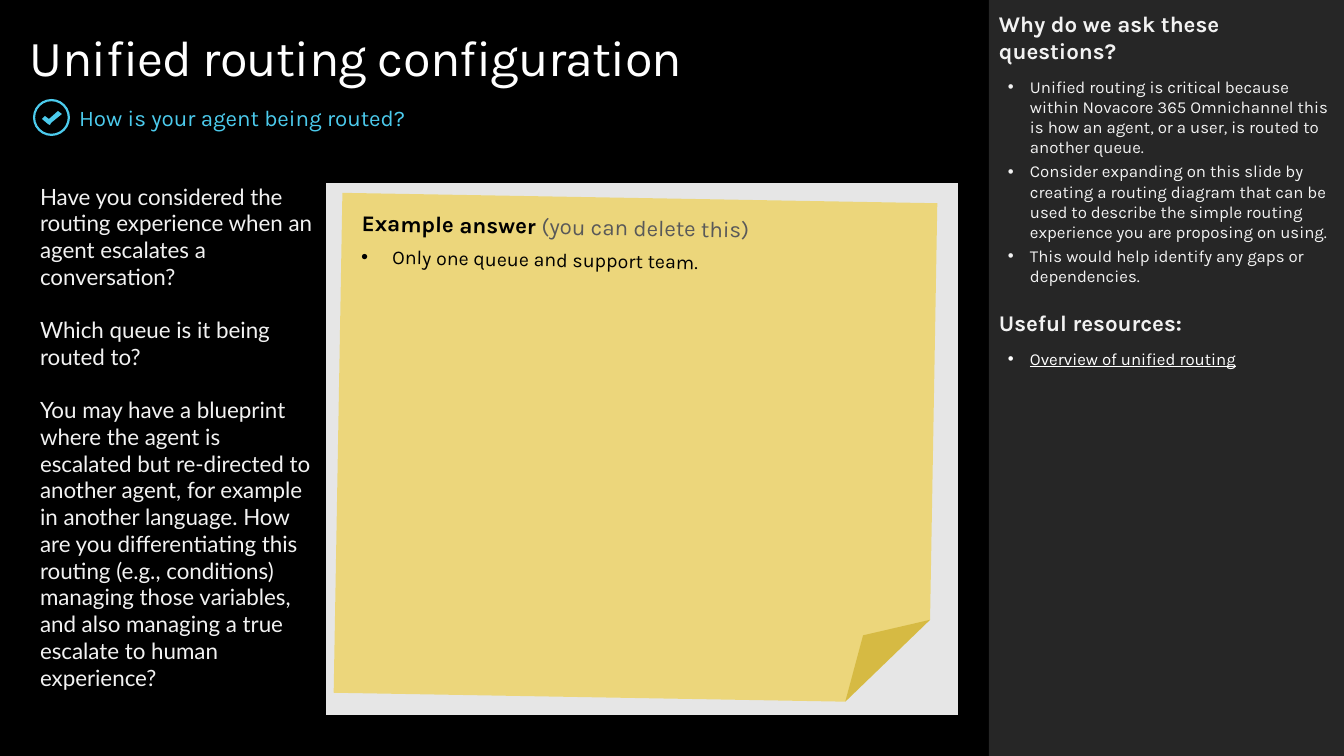
import pptx
import pptx.dml.color
import pptx.enum.shapes
import pptx.enum.text
import pptx.oxml
import pptx.oxml.ns
import pptx.util

SHAPES = pptx.enum.shapes.MSO_SHAPE
ANCHORS = pptx.enum.text.MSO_ANCHOR
ALIGNMENTS = pptx.enum.text.PP_ALIGN
EMU_PER_PX = 914400 / 100.8

COLORS = {
    "background": "000000",
    "sidebar": "262626",
    "accent": "4CCBED",
    "white": "FFFFFF",
    "light": "F2F2F2",
    "panel": "E6E6E6",
    "note": "F2C811",
    "ink": "000000",
    "muted": "595959",
}

QUESTIONS = [
    "Have you considered the routing experience when an agent escalates a conversation?",
    "Which queue is it being routed to?",
    "You may have a blueprint where the agent is escalated but re-directed to another agent, "
    "for example in another language. How are you differentiating this routing (e.g., conditions) "
    "managing those variables, and also managing a true escalate to human experience?",
]

REASONS = [
    "Unified routing is critical because within Novacore 365 Omnichannel this is how an agent, "
    "or a user, is routed to another queue.",
    "Consider expanding on this slide by creating a routing diagram that can be used to describe "
    "the simple routing experience you are proposing on using.",
    "This would help identify any gaps or dependencies.",
]

CHECK_MARK = [(58, 111), (49, 119), (45, 116), (42, 119), (48, 124), (50, 125), (51, 123), (62, 114)]


def px(length):
    return pptx.util.Emu(round(length * EMU_PER_PX))


def rgb(name):
    return pptx.dml.color.RGBColor.from_string(COLORS[name])


def drawing_element(tag, content="", attributes=""):
    namespace = pptx.oxml.ns.nsdecls("a")
    return pptx.oxml.parse_xml(f"<a:{tag} {namespace} {attributes}>{content}</a:{tag}>")


def paint(shape, color):
    shape.shadow.inherit = False
    shape.fill.solid()
    shape.fill.fore_color.rgb = rgb(color)
    shape.line.fill.background()


def add_shape(slide, preset, left, top, width, height, color):
    shape = slide.shapes.add_shape(preset, px(left), px(top), px(width), px(height))
    paint(shape, color)
    return shape


def set_up_frame(frame, horizontal=0, vertical=0, anchor=ANCHORS.TOP):
    frame.word_wrap = True
    frame.vertical_anchor = anchor
    frame.margin_left = frame.margin_right = px(horizontal)
    frame.margin_top = frame.margin_bottom = px(vertical)


def add_text_box(slide, left, top, width, height, margin=0, anchor=ANCHORS.TOP):
    frame = slide.shapes.add_textbox(px(left), px(top), px(width), px(height)).text_frame
    set_up_frame(frame, margin, margin, anchor)
    return frame


def format_run(run, size, color, font="Karla", bold=False, underline=False):
    run.font.name = font
    run.font.size = pptx.util.Pt(size)
    run.font.bold = bold
    run.font.underline = underline
    run.font.color.rgb = rgb(color)


def add_paragraph(frame, text, size, color, before=0, after=0, **style):
    """Fill the frame's empty first paragraph, or append a new one."""
    paragraph = frame.paragraphs[0] if not frame.text else frame.add_paragraph()
    paragraph.text = text
    paragraph.alignment = ALIGNMENTS.LEFT
    paragraph.space_before = pptx.util.Pt(before)
    paragraph.space_after = pptx.util.Pt(after)
    format_run(paragraph.runs[0], size, color, **style)
    return paragraph


def add_bullet(paragraph, margin, hanging):
    properties = paragraph._p.get_or_add_pPr()
    properties.set("marL", str(px(margin)))
    properties.set("indent", str(-px(hanging)))
    properties.append(drawing_element("buFont", attributes='typeface="Arial"'))
    properties.append(drawing_element("buChar", attributes='char="•"'))


def add_heading(slide):
    title = add_text_box(slide, 30, 26, 928, 62)
    paragraph = add_paragraph(title, "Unified routing configuration", 36, "white")
    paragraph.runs[0].font._element.set("spc", "-50")

    ring = add_shape(slide, SHAPES.DONUT, 33, 99, 37, 37, "accent")
    ring.adjustments[0] = 0.06
    builder = slide.shapes.build_freeform(*CHECK_MARK[0], scale=EMU_PER_PX)
    builder.add_line_segments(CHECK_MARK[1:], close=True)
    paint(builder.convert_to_shape(), "accent")

    subtitle = add_text_box(slide, 79, 104, 880, 27, anchor=ANCHORS.MIDDLE)
    add_paragraph(subtitle, "How is your agent being routed?", 16, "accent")


def add_sidebar(slide):
    add_shape(slide, SHAPES.RECTANGLE, 989, 0, 355, 756, "sidebar")
    frame = add_text_box(slide, 989, 0, 355, 356, margin=10)
    add_paragraph(frame, "Why do we ask these questions?", 16, "light", after=6, bold=True)
    for reason in REASONS:
        add_bullet(add_paragraph(frame, reason, 12, "light", before=3), 31, 22)
    add_paragraph(frame, "Useful resources:", 16, "light", before=16, after=6, bold=True)
    resource = add_paragraph(frame, "Overview of unified routing", 12, "white", before=3, underline=True)
    add_bullet(resource, 31, 22)


def set_borders(cell):
    """Leave only a thick border below the cell."""
    properties = cell._tc.get_or_add_tcPr()
    for index, side in enumerate("LRT"):
        properties.insert(index, drawing_element(f"ln{side}", "<a:noFill/>"))
    fill = f'<a:solidFill><a:srgbClr val="{COLORS["background"]}"/></a:solidFill>'
    properties.insert(3, drawing_element("lnB", fill, f'w="{pptx.util.Pt(6)}"'))


def add_question_table(slide):
    table = slide.shapes.add_table(1, 2, px(40), px(183), px(918), px(536)).table
    table.first_row = False
    table.horz_banding = False
    for column, width in zip(table.columns, (286, 632)):
        column.width = px(width)
    question_cell, answer_cell = table.cell(0, 0), table.cell(0, 1)
    question_cell.fill.background()
    answer_cell.fill.solid()
    answer_cell.fill.fore_color.rgb = rgb("panel")
    for cell in (question_cell, answer_cell):
        set_borders(cell)
    question_cell.margin_left = question_cell.margin_top = question_cell.margin_bottom = 0
    question_cell.margin_right = px(10)
    for index, question in enumerate(QUESTIONS):
        before = 19 if index else 0
        add_paragraph(question_cell.text_frame, question, 16, "light", before=before, font="Lato")


def add_sticky_note(slide):
    note = add_shape(slide, SHAPES.FOLDED_CORNER, 338, 198, 595, 500, "note")
    note.rotation = 1
    color = note.fill._xPr.find(".//" + pptx.oxml.ns.qn("a:srgbClr"))
    color.append(drawing_element("alpha", attributes='val="50000"'))
    frame = note.text_frame
    set_up_frame(frame, 20, 16)
    heading = add_paragraph(frame, "Example answer ", 16, "ink", after=6, bold=True)
    hint = heading.add_run()
    hint.text = "(you can delete this)"
    format_run(hint, 16, "muted")
    answer = add_paragraph(frame, "Only one queue and support team.", 14, "ink", after=6)
    add_bullet(answer, 31, 31)


def main():
    presentation = pptx.Presentation()
    presentation.slide_width, presentation.slide_height = px(1344), px(756)
    slide = presentation.slides.add_slide(presentation.slide_layouts[6])
    slide.background.fill.solid()
    slide.background.fill.fore_color.rgb = rgb("background")
    add_heading(slide)
    add_sidebar(slide)
    add_question_table(slide)
    add_sticky_note(slide)
    presentation.save("out.pptx")


if __name__ == "__main__":
    main()
